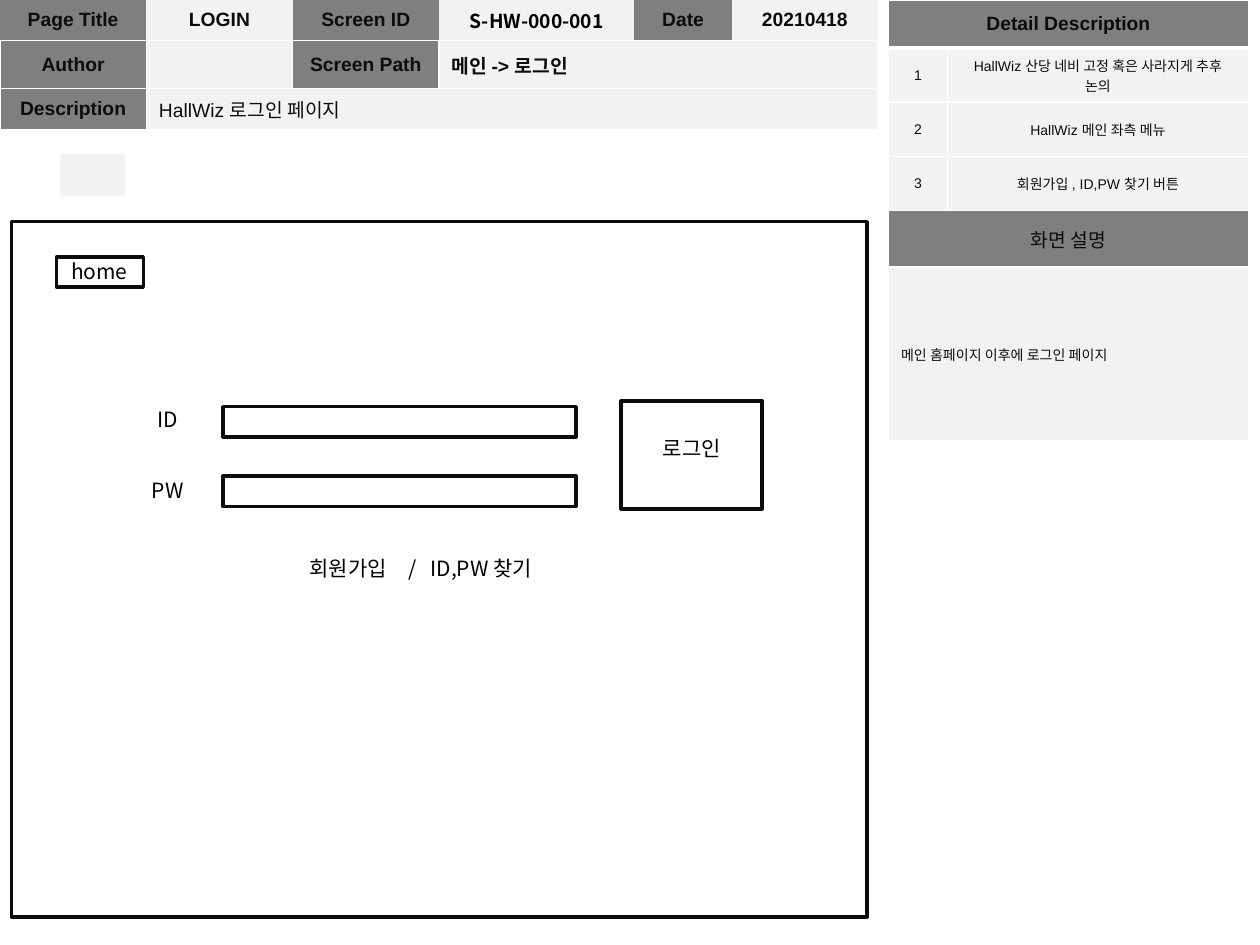
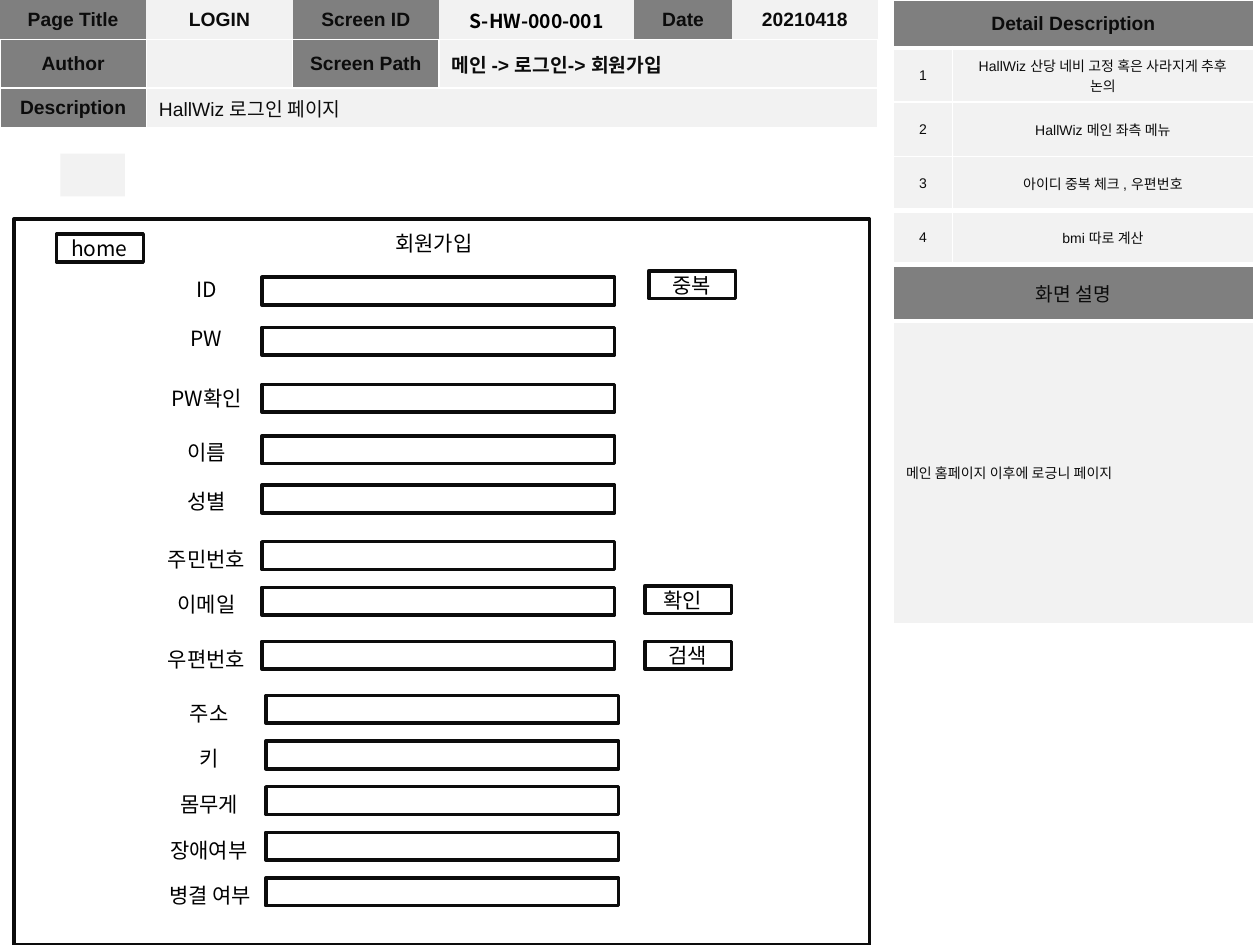
from dataclasses import dataclass

from lxml.etree import SubElement
from pptx import Presentation
from pptx.dml.color import RGBColor
from pptx.enum.shapes import MSO_SHAPE as Preset
from pptx.enum.text import MSO_ANCHOR as Anchor, PP_ALIGN as Align
from pptx.oxml import parse_xml
from pptx.oxml.ns import nsdecls, qn
from pptx.util import Cm, Pt


@dataclass(frozen=True)
class Theme:
    ink: str = "0C0C0C"
    black: str = "000000"
    head_fill: str = "7F7F7F"
    body_fill: str = "F2F2F2"
    grid: str = "FFFFFF"
    latin: str = "Arial"
    korean: str = "Noto Sans CJK KR"
    table_size: int = 11
    note_size: int = 8
    label_size: int = 12
    outline: int = 2


THEME = Theme()


def write(frame, text, size, bold=False, align=Align.CENTER, font=THEME.korean, color=THEME.black):
    frame.word_wrap = True
    para = frame.paragraphs[0]
    para.text = text
    para.alignment = align
    para.font.size = Pt(size)
    para.font.bold = bold
    para.font.name = font
    para.font.color.rgb = RGBColor.from_string(color)
    # Hangul takes its face from the East Asian font
    defaults = para._p.pPr.find(qn("a:defRPr"))
    SubElement(defaults, qn("a:ea")).set("typeface", THEME.korean)
    if not text:  # an empty cell takes its height from the end mark
        SubElement(para._p, qn("a:endParaRPr")).set("sz", str(size * 100))
    return para


def paint(cell, fill, left=1, right=1, top=1, bottom=1):
    cell.vertical_anchor = Anchor.MIDDLE
    sides = (("lnL", left), ("lnR", right), ("lnT", top), ("lnB", bottom))
    props = cell._tc.get_or_add_tcPr()
    for side, width in sides:
        line = SubElement(props, qn(f"a:{side}"))
        if width:
            line.set("w", str(Pt(width)))
            solid = SubElement(line, qn("a:solidFill"))
            SubElement(solid, qn("a:srgbClr")).set("val", THEME.grid)
        else:
            SubElement(line, qn("a:noFill"))
    cell.fill.solid()
    cell.fill.fore_color.rgb = RGBColor.from_string(fill)


# Shared wording and table measures, in cm
PRODUCT = "HallWiz"
HEADER_COLS = (2.95, 2.95, 2.95, 3.94, 1.96, 2.95)
HEADER_ROWS = (0.8, 0.97, 0.81)
DETAIL_COLS = (1.19, 6.07)
TITLE_ROW, NOTE_ROW, SUBTITLE_ROW = 0.97, 1.09, 1.14
SHARED_NOTES = (f"{PRODUCT} 산당 네비 고정 혹은 사라지게 추후 논의", f"{PRODUCT} 메인 좌측 메뉴")

# Login page: outlines are (left, top, width, height), labels (text, left, top, width, align)
login = {
    "path": "메인 -> 로그인",
    "detail_left": 17.91,
    "notes": (*SHARED_NOTES, "회원가입 , ID,PW 찾기 버튼"),
    "summary": "메인 홈페이지 이후에 로그인 페이지",
    "summary_height": 3.51,
    "rules": (3, 1, 1, 1, 1, 1),
    "outlines": [
        (0.23, 4.47, 17.25, 14.02),
        (1.14, 5.18, 1.75, 0.61),
        (4.5, 8.2, 7.11, 0.61),
        (4.5, 9.6, 7.11, 0.61),
        (12.52, 8.08, 2.84, 2.18),
    ],
    "labels": [
        ("home", 0.86, 5.08, 2.29, Align.CENTER),
        ("ID", 2.24, 8.08, 2.29, Align.CENTER),
        ("PW", 2.24, 9.5, 2.29, Align.CENTER),
        ("로그인", 12.8, 8.66, 2.29, Align.CENTER),
        ("회원가입\t/\tID,PW 찾기", 5.99, 11.07, 5.61, Align.LEFT),
    ],
}

# Sign-up page
FIELD_HEIGHT = 0.56
signup = {
    "path": "메인 -> 로그인-> 회원가입",
    "detail_left": 18.01,
    "notes": (*SHARED_NOTES, "아이디 중복 체크 , 우편번호", "bmi 따로 계산"),
    "summary": "메인 홈페이지 이후에 로긍니 페이지",
    "summary_height": 6.1,
    "rules": (3, 1, 1, 3, 3, 3, 1),
    "outlines": [(0.28, 4.42, 17.25, 14.63), (1.14, 4.72, 1.75, FIELD_HEIGHT)],
    "labels": [
        ("home", 0.86, 4.62, 2.29, Align.CENTER),
        ("회원가입", 7.72, 4.52, 2.29, Align.LEFT),
    ],
}

# Upper fields: label, label top, field top
for name, label_top, field_top in (
    ("ID", 5.46, 5.59), ("PW", 6.43, 6.6), ("PW확인", 7.65, 7.75), ("이름", 8.74, 8.79),
    ("성별", 9.73, 9.78), ("주민번호", 10.9, 10.92), ("이메일", 11.81, 11.84),
    ("우편번호", 12.9, 12.93),
):
    signup["labels"].append((name, 3.02, label_top, 2.29, Align.CENTER))
    signup["outlines"].append((5.28, field_top, 7.11, FIELD_HEIGHT))

# Lower fields at an equal step
for index, (name, left, width) in enumerate((
    ("주소", 3.07, 2.29), ("키", 3.07, 2.29), ("몸무게", 3.07, 2.29),
    ("장애여부", 3.07, 2.29), ("병결 여부", 2.9, 2.67),
)):
    field_top = 14.02 + 0.92 * index
    signup["labels"].append((name, left, field_top - 0.03, width, Align.CENTER))
    signup["outlines"].append((5.36, field_top, 7.11, FIELD_HEIGHT))

# Side buttons
for name, left, top, align in (
    ("중복", 13.08, 5.46, Align.CENTER), ("확인", 13, 11.81, Align.LEFT),
    ("검색", 13, 12.93, Align.CENTER),
):
    signup["labels"].append((name, left + 0.13, top - 0.1, 1.47, align))
    signup["outlines"].append((left, top, 1.75, FIELD_HEIGHT))

deck = Presentation()
deck.slide_width, deck.slide_height = Cm(25.4), Cm(19.05)

for screen in (login, signup):
    page = deck.slides.add_slide(deck.slide_layouts[6])

    # Both tables: size the grid
    detail_rows = (TITLE_ROW, *[NOTE_ROW] * len(screen["notes"]), SUBTITLE_ROW,
                   screen["summary_height"])
    tables = []
    for left, cols, rows in ((0, HEADER_COLS, HEADER_ROWS),
                             (screen["detail_left"], DETAIL_COLS, detail_rows)):
        table = page.shapes.add_table(len(rows), len(cols), Cm(left), 0,
                                      Cm(sum(cols)), Cm(sum(rows))).table
        table.first_row = table.horz_banding = False
        for column, width in zip(table.columns, cols):
            column.width = Cm(width)
        for row, height in zip(table.rows, rows):
            row.height = Cm(height)
        tables.append(table)
    header, detail = tables

    # Header table
    header_text = (
        ("Page Title", "LOGIN", "Screen ID", "S-HW-000-001", "Date", "20210418"),
        ("Author", "", "Screen Path", screen["path"], "", ""),
        ("Description", f"{PRODUCT} 로그인 페이지", "", "", "", ""),
    )
    header.cell(1, 3).merge(header.cell(1, 5))
    header.cell(2, 1).merge(header.cell(2, 5))
    for r, texts in enumerate(header_text):
        for c, text in enumerate(texts):
            cell = header.cell(r, c)
            is_name = c == 0 or (c == 2 and r < 2) or (c, r) == (4, 0)
            fill = THEME.head_fill if is_name else THEME.body_fill
            side = 1 if r else 0
            paint(cell, fill, left=side, right=side, top=side)
            is_code = (r, c) == (0, 3)
            write(cell.text_frame, text, THEME.table_size,
                  bold=(r, c) != (2, 1),
                  align=Align.LEFT if cell.is_merge_origin else Align.CENTER,
                  font=THEME.korean if is_code else THEME.latin,
                  color=THEME.black if is_code else THEME.ink)

    # Detail table
    note_texts = [(str(n), note) for n, note in enumerate(screen["notes"], 1)]
    detail_text = [("Detail Description", ""), *note_texts, ("화면 설명", ""),
                   (screen["summary"], "")]
    last = len(detail_text) - 1
    rules = screen["rules"]
    for r, texts in enumerate(detail_text):
        is_heading = r in (0, last - 1)
        if not texts[1]:
            detail.cell(r, 0).merge(detail.cell(r, 1))
        for c, text in enumerate(texts):
            cell = detail.cell(r, c)
            paint(cell, THEME.head_fill if is_heading else THEME.body_fill,
                  top=rules[r - 1] if r else 1, bottom=rules[r])
            write(cell.text_frame, text,
                  THEME.table_size if is_heading else THEME.note_size,
                  bold=r == 0, align=Align.LEFT if r == last else Align.CENTER,
                  font=THEME.latin, color=THEME.ink)

    # Plain block above the wireframe
    block = page.shapes.add_shape(Preset.RECTANGLE, Cm(1.22), Cm(3.1), Cm(1.3), Cm(0.86))
    block.shadow.inherit = False
    block.fill.solid()
    block.fill.fore_color.rgb = RGBColor.from_string(THEME.body_fill)
    block.line.fill.background()

    # Wireframe outlines
    for left, top, width, height in screen["outlines"]:
        box = page.shapes.add_shape(Preset.RECTANGLE, Cm(left), Cm(top), Cm(width), Cm(height))
        box.shadow.inherit = False
        box.fill.background()
        box.line.color.rgb = RGBColor.from_string(THEME.ink)
        box.line.width = Pt(THEME.outline)

    # Wireframe labels
    for text, left, top, width, align in screen["labels"]:
        label = page.shapes.add_textbox(Cm(left), Cm(top), Cm(width), Cm(0.76))
        para = write(label.text_frame, text, THEME.label_size, align=align)
        if "\t" in text:
            stops = "".join(f'<a:tab pos="{Cm(stop)}" algn="l"/>' for stop in (2, 2.44))
            para._p.pPr.insert(0, parse_xml(f'<a:tabLst {nsdecls("a")}>{stops}</a:tabLst>'))

deck.save("out.pptx")
